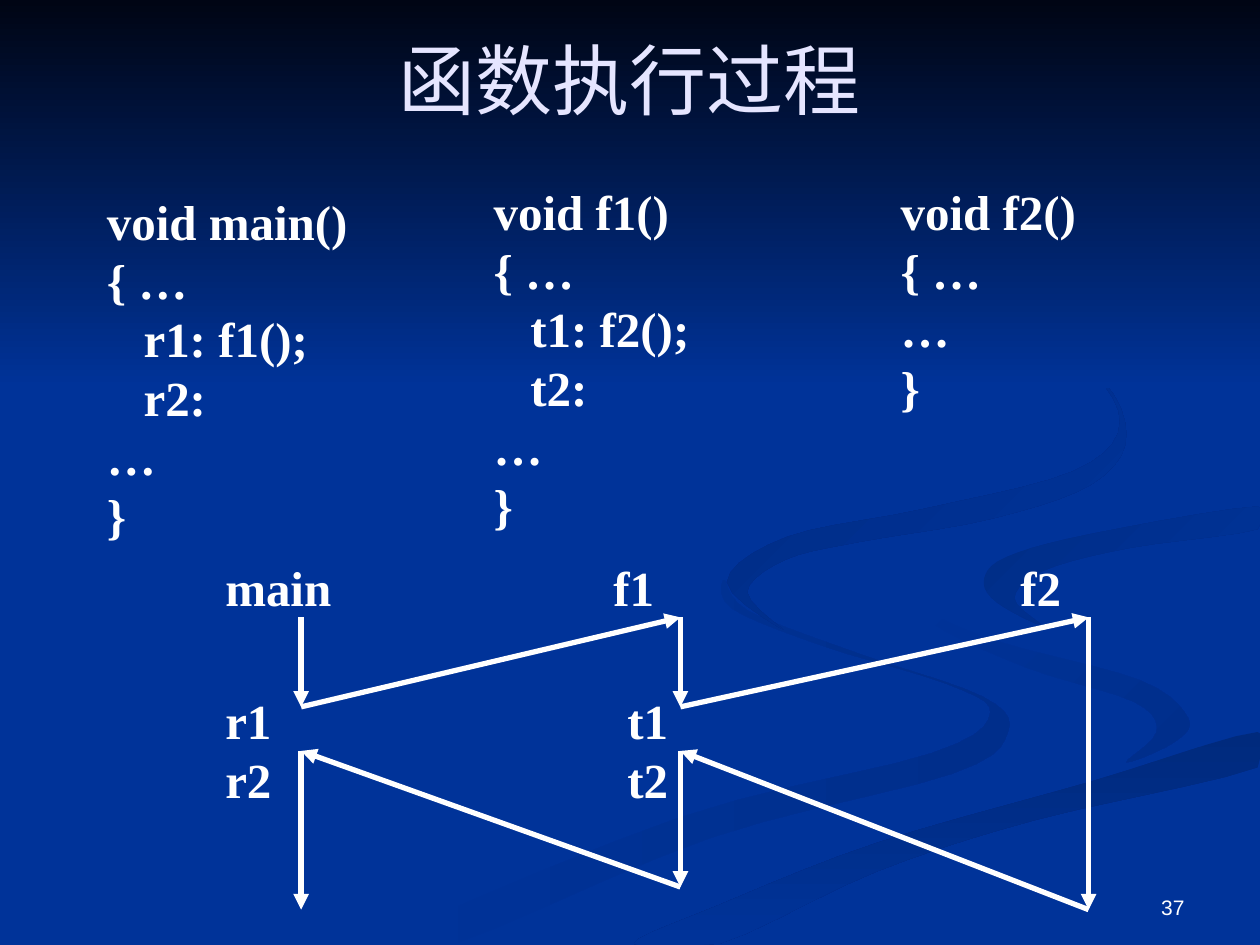
from lxml import etree
from pptx import Presentation
from pptx.dml.color import RGBColor as RGB
from pptx.enum.shapes import MSO_CONNECTOR as CONN, MSO_SHAPE as SHAPE
from pptx.enum.text import MSO_ANCHOR as ANCHOR, PP_ALIGN as ALIGN
from pptx.oxml.ns import qn
from pptx.util import Inches, Pt

COLORS = {"blue": "003399", "navy": "000514", "title": "E5E5FF", "white": "FFFFFF",
          "shade1": "002E8B", "shade2": "002A7D", "shade3": "002D86", "shade4": "002B82"}
WIDTH, HEIGHT = 10, 7.5

# Background ribbons: start colour, end colour, clockwise angle, points of a smooth outline
RIBBONS = [
    ("blue", "shade1", 0, [
        (7.8, 5.53), (6.82, 5.19), (5.94, 4.85), (5.75, 4.6), (5.81, 4.83), (6.54, 5.13),
        (7.52, 5.43), (7.86, 5.66), (7.39, 5.98), (5.39, 6.49), (3, 7.49), (3.61, 7.49),
        (5.64, 6.65), (7.56, 6.14), (8, 5.81)]),
    ("blue", "shade1", 45, [
        (9.43, 5.7), (9.05, 5.4), (7.92, 5.09), (7.33, 4.83), (7.24, 4.64), (7.39, 4.94),
        (8.15, 5.3), (9, 5.57), (9.18, 5.81), (8.94, 6.05), (9.32, 5.89)]),
    ("shade2", "blue", 90, [
        (5.03, 7.49), (5.71, 7.49), (6.95, 6.92), (8.21, 6.51), (9.98, 6.09), (9.98, 5.81),
        (8.67, 6.2), (6.96, 6.69), (5.69, 7.19)]),
    ("shade3", "blue", 45, [
        (7.81, 4.6), (7.91, 4.78), (8.26, 4.96), (8.05, 4.75), (8.28, 4.53), (8.96, 4.35),
        (9.98, 4.2), (9.98, 4.02), (8.65, 4.24), (7.99, 4.42)]),
    ("shade4", "blue", 45, [
        (6.83, 4.3), (7.86, 4.12), (8.67, 3.84), (8.94, 3.44), (8.64, 2.91), (7.62, 2.33),
        (8.55, 2.85), (8.89, 3.35), (8.52, 3.74), (7.33, 4.04), (6.25, 4.26), (5.77, 4.62),
        (6.22, 5), (5.93, 4.7), (6.24, 4.44)]),
]

# Function listings: left, top, width, lines
LISTINGS = [
    (0.75, 1.47, 2.68, ["void main()", "{ …", "   r1: f1();", "   r2:", "…", "}"]),
    (3.82, 1.39, 2.36, ["void f1()", "{ …", "   t1: f2();", "   t2:", "…", "}"]),
    (7.05, 1.39, 1.87, ["void f2()", "{ …", "…", "}"]),
]

# Flow labels: top, height, tab stops, lines
LABELS = [
    (4.38, 0.53, (3.08, 6.31), ["main\tf1\tf2"]),
    (5.43, 0.89, (3.19,), ["r1\tt1", "r2\tt2"]),
]

# Flow of control: x of each function, y of each event
MAIN, F1, F2 = 2.39, 5.4, 8.64
START, CALL, RESUME, F1_END, END = 4.9, 5.61, 5.96, 7.04, 7.22
FLOW = [(MAIN, START), (MAIN, CALL), (F1, START), (F1, CALL), (F2, START),
        (F2, END), (F1, RESUME), (F1, F1_END), (MAIN, RESUME), (MAIN, END)]


def smooth(points, steps=5):
    """Closed Catmull-Rom curve through the points, kept on the slide."""
    def blend(a, b, c, d, t):
        return b + t / 2 * (c - a + t * (2 * a - 5 * b + 4 * c - d
                                         + t * (3 * (b - c) + d - a)))

    n = len(points)
    curve = []
    for i in range(n):
        xs, ys = zip(*(points[(i + k) % n] for k in (-1, 0, 1, 2)))
        for step in range(steps):
            t = step / steps
            curve.append((min(blend(*xs, t), WIDTH), min(blend(*ys, t), HEIGHT)))
    return curve


class Deck:
    """Holds the style and the current slide."""
    font = "Times New Roman"
    code_size, line_pitch = 28, 33.6

    def __init__(self, prs):
        self.s = prs.slides.add_slide(prs.slide_layouts[6])
        fill = self.s.background.fill
        fill.solid()
        fill.fore_color.rgb = self.color("blue")

    def color(self, name):
        return RGB.from_string(COLORS[name])

    def paint(self, sp, start, end, angle):
        sp.shadow.inherit = False
        sp.line.fill.background()
        sp.fill.gradient()
        sp.fill.gradient_angle = (360 - angle) % 360
        for stop, name, place in zip(sp.fill.gradient_stops, (start, end), (0, 1)):
            stop.color.rgb = self.color(name)
            stop.position = place

    def ribbon(self, start, end, angle, points):
        first, *rest = [(Inches(x), Inches(y)) for x, y in smooth(points)]
        builder = self.s.shapes.build_freeform(*first)
        builder.add_line_segments(rest, close=True)
        self.paint(builder.convert_to_shape(), start, end, angle)

    def band(self, x, y, w, h, start, end):
        sp = self.s.shapes.add_shape(SHAPE.RECTANGLE, *map(Inches, (x, y, w, h)))
        self.paint(sp, start, end, 90)

    def text(self, x, y, w, h, lines, *, size=code_size, font=font, color="white",
             bold=False, align=ALIGN.LEFT, anchor=ANCHOR.TOP, pitch=None, tabs=()):
        tf = self.s.shapes.add_textbox(*map(Inches, (x, y, w, h))).text_frame
        tf.word_wrap = True
        tf.vertical_anchor = anchor
        for i, line in enumerate(lines):
            p = tf.paragraphs[0] if i == 0 else tf.add_paragraph()
            p.alignment = align
            if pitch:
                p.line_spacing = Pt(pitch)
            if tabs:
                tab_list = etree.SubElement(p._p.get_or_add_pPr(), qn("a:tabLst"))
                for stop in tabs:
                    etree.SubElement(tab_list, qn("a:tab"), pos=str(Inches(stop)), algn="l")
            r = p.add_run()
            r.text = line
            r.font.name, r.font.size, r.font.bold = font, Pt(size), bold
            r.font.color.rgb = self.color(color)

    def code(self, x, y, w, h, lines, tabs=()):
        self.text(x, y, w, h, lines, bold=True, pitch=self.line_pitch, tabs=tabs)

    def arrow(self, start, end):
        c = self.s.shapes.add_connector(CONN.STRAIGHT, *map(Inches, (*start, *end)))
        c.line.width = Pt(3)
        c.line.color.rgb = self.color("white")
        etree.SubElement(c.line._get_or_add_ln(), qn("a:tailEnd"), type="triangle")
        etree.SubElement(c._element.spPr, qn("a:effectLst"))


def main():
    prs = Presentation()
    prs.slide_width, prs.slide_height = Inches(WIDTH), Inches(HEIGHT)
    deck = Deck(prs)

    # Background
    for ribbon in RIBBONS:
        deck.ribbon(*ribbon)
    deck.band(0, 0, WIDTH, 3.08, "navy", "blue")

    # Page number and title
    deck.text(7.17, 6.83, 2.33, 0.52, ["37"], size=12, font="Arial",
              align=ALIGN.RIGHT, anchor=ANCHOR.BOTTOM)
    deck.text(0.75, 0, 8.5, 1.25, ["函数执行过程"], size=44, color="title",
              align=ALIGN.CENTER, anchor=ANCHOR.MIDDLE)

    # Call flow
    for top, height, tabs, lines in LABELS:
        deck.code(1.69, top, 7.64, height, lines, tabs)
    for start, end in zip(FLOW, FLOW[1:]):
        deck.arrow(start, end)

    # Function listings
    for x, y, w, lines in LISTINGS:
        deck.code(x, y, w, 0.1 + len(lines) * deck.line_pitch / 72, lines)

    prs.save("out.pptx")


if __name__ == "__main__":
    main()
